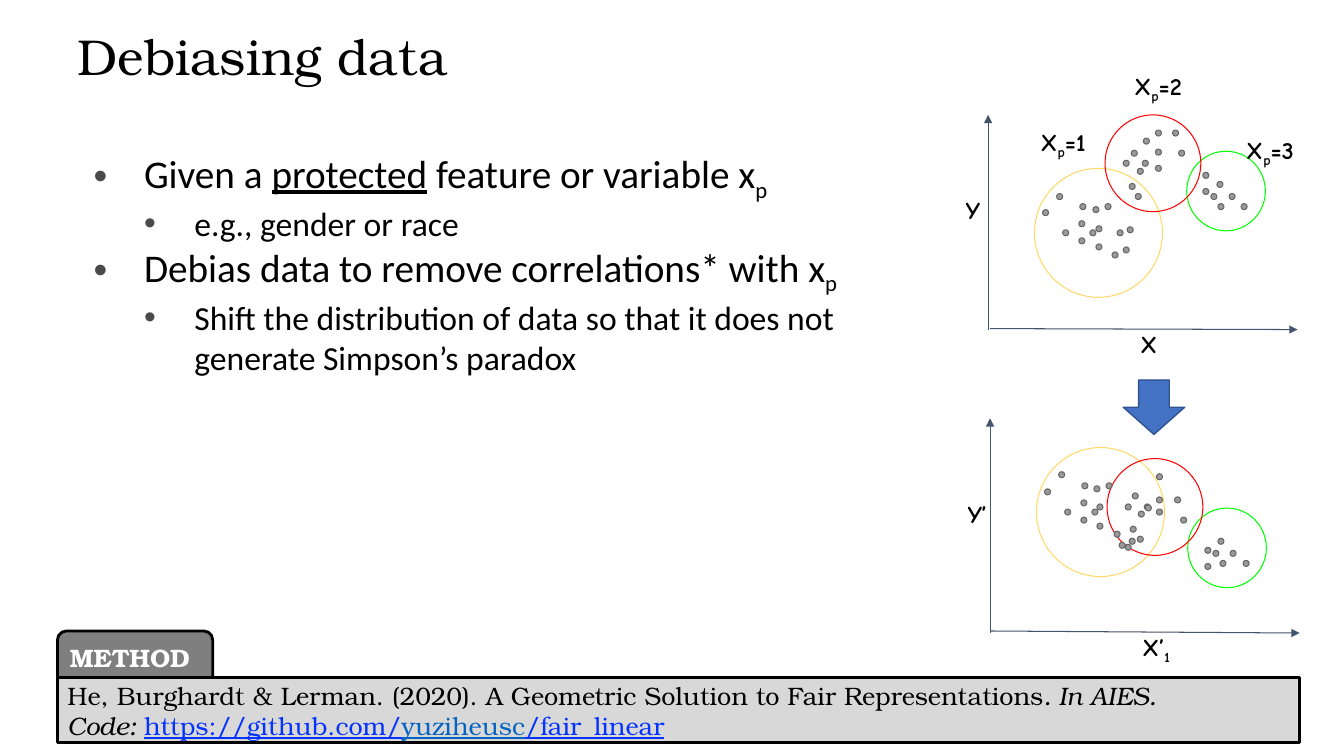
"""Build the slide on debiasing data with two scatter sketches."""
from lxml import etree
from pptx import Presentation
from pptx import util as u
from pptx.dml.color import RGBColor
from pptx.enum import shapes as s
from pptx.enum import text as t
from pptx.oxml import ns

PX = u.Inches(1) // 100

BLACK = RGBColor(0x00, 0x00, 0x00)
WHITE = RGBColor(0xFF, 0xFF, 0xFF)
BULLET_GRAY = RGBColor(0x4A, 0x4A, 0x4A)
TAB_GRAY = RGBColor(0x7F, 0x7F, 0x7F)
CITATION_GRAY = RGBColor(0xD8, 0xD8, 0xD8)
DOT_FILL = RGBColor(0x99, 0x99, 0x99)
DOT_EDGE = RGBColor(0x66, 0x66, 0x66)
AXIS = RGBColor(0x44, 0x54, 0x6A)
GREEN = RGBColor(0x00, 0xFF, 0x00)
YELLOW = RGBColor(0xFF, 0xD9, 0x66)
RED = RGBColor(0xFF, 0x00, 0x00)
ARROW_FILL = RGBColor(0x44, 0x72, 0xC4)
ARROW_EDGE = RGBColor(0x31, 0x53, 0x8F)
LINK_BLUE = RGBColor(0x04, 0x32, 0xFF)
USER_BLUE = RGBColor(0x05, 0x63, 0xC1)

TITLE = {"name": "TeX Gyre Bonum", "size": u.Pt(36), "bold": False}
TAB = {"name": "TeX Gyre Bonum", "size": u.Pt(18), "bold": True}
CITATION = {"name": "TeX Gyre Bonum", "size": u.Pt(18)}
LABEL = {"name": "Comic Neue", "size": u.Pt(17.3), "bold": True}
POINT = {"name": "Calibri", "size": u.Pt(28)}
SUBPOINT = {"name": "Calibri", "size": u.Pt(24)}

DOT = 6
CIRCLES = ((78, 79, GREEN), (127, 128, YELLOW), (95, 96, RED))

BEFORE = {
    "axes": ((980, 327, 980, 114), (982, 326, 1287, 327)),
    "circles": ((1177, 150), (1026, 167), (1096, 114)),
    "dots": (
        (1146, 129), (1122, 149), (1146, 164), (1133, 159), (1169, 149), (1120, 182),
        (1163, 129), (1128, 167), (1146, 148), (1114, 159), (1134, 137), (1126, 192),
        (1193, 171), (1208, 202), (1219, 192), (1231, 202), (1207, 180), (1193, 187),
        (1201, 192),
        (1048, 192), (1096, 202), (1054, 228), (1108, 228), (1081, 228), (1103, 250),
        (1070, 236), (1071, 202), (1034, 208), (1114, 245), (1087, 242), (1118, 225),
        (1087, 224), (1084, 205), (1070, 219)),
    "labels": (
        ((1118, 314, 49, 63), "X", "", ""), ((945, 181, 49, 63), "Y", "", ""),
        ((1019, 113, 79, 63), "X", "p", "=1"), ((1112, 58, 79, 63), "X", "p", "=2"),
        ((1223, 121, 79, 63), "X", "p", "=3")),
}
AFTER = {
    "axes": ((982, 628, 982, 415), (983, 626, 1289, 628)),
    "circles": ((1178, 504), (1028, 444), (1098, 455)),
    "dots": (
        (1147, 493), (1123, 489), (1147, 505), (1135, 500), (1171, 513), (1121, 522),
        (1165, 493), (1129, 507), (1147, 470), (1116, 500), (1136, 501), (1128, 532),
        (1195, 543), (1210, 556), (1220, 546), (1233, 556), (1208, 534), (1195, 559),
        (1203, 546),
        (1050, 468), (1097, 479), (1056, 505), (1110, 538), (1083, 505), (1105, 527),
        (1072, 513), (1073, 479), (1036, 485), (1116, 540), (1088, 519), (1120, 534),
        (1088, 500), (1085, 482), (1072, 496)),
    "labels": (
        ((1120, 614, 75, 63), "X’", "1", ""), ((947, 482, 49, 63), "Y’", "", "")),
}


def emu(lengths):
    """Turn px lengths into EMU."""
    return [u.Emu(length * PX) for length in lengths]


def write(paragraph, words, style, color=BLACK, subscript=False):
    """Append a run with the given format."""
    run = paragraph.add_run()
    run.text = words
    for attribute, value in style.items():
        setattr(run.font, attribute, value)
    run.font.color.rgb = color
    if subscript:
        run.font._element.set("baseline", "-25000")


def set_frame(frame, anchor, inset_x=10, inset_y=5):
    """Set wrapping, anchor and insets of a text frame."""
    layout = {
        "word_wrap": True, "vertical_anchor": anchor,
        "margin_left": inset_x * PX, "margin_right": inset_x * PX,
        "margin_top": inset_y * PX, "margin_bottom": inset_y * PX}
    for attribute, value in layout.items():
        setattr(frame, attribute, value)
    return frame


def add_shape(slide, preset, box, edge, weight, fill=None):
    """Add a flat preset shape."""
    shape = slide.shapes.add_shape(preset, *emu(box))
    shape.shadow.inherit = False
    if fill is None:
        shape.fill.background()
    else:
        shape.fill.solid()
        shape.fill.fore_color.rgb = fill
    shape.line.color.rgb = edge
    shape.line.width = u.Pt(weight)
    return shape


def add_axis(slide, ends):
    """Add an axis with an arrowhead at its end."""
    axis = slide.shapes.add_connector(s.MSO_CONNECTOR.STRAIGHT, *emu(ends))
    axis.line.color.rgb = AXIS
    axis.line.width = u.Pt(0.75)
    etree.SubElement(axis.line._get_or_add_ln(), ns.qn("a:tailEnd"), type="triangle")
    etree.SubElement(axis._element.spPr, ns.qn("a:effectLst"))


def add_label(slide, box, base, subscript, rest):
    """Add a variable name with an optional subscript."""
    label = slide.shapes.add_textbox(*emu(box))
    paragraph = set_frame(label.text_frame, t.MSO_ANCHOR.TOP, 13, 13).paragraphs[0]
    write(paragraph, base, LABEL)
    if subscript:
        write(paragraph, subscript, LABEL, subscript=True)
    if rest:
        write(paragraph, rest, LABEL)


def add_plot(slide, plot):
    """Draw one scatter sketch with its group circles."""
    for (left, top), (width, height, color) in zip(plot["circles"], CIRCLES):
        add_shape(slide, s.MSO_SHAPE.OVAL, (left, top, width, height), color, 0.75)
    for left, top in plot["dots"]:
        add_shape(slide, s.MSO_SHAPE.FLOWCHART_CONNECTOR, (left, top, DOT, DOT),
                  DOT_EDGE, 0.75, DOT_FILL)
    for ends in plot["axes"]:
        add_axis(slide, ends)
    for label in plot["labels"]:
        add_label(slide, *label)


def add_bullet(paragraph, level):
    """Give a paragraph its level, hanging indent and bullet."""
    paragraph.level = level
    properties = paragraph._p.get_or_add_pPr()
    properties.set("marL", str((67 + 50 * level) * PX))
    properties.set("indent", str(-50 * PX))
    color = etree.SubElement(properties, ns.qn("a:buClr"))
    etree.SubElement(color, ns.qn("a:srgbClr"), val=str(BULLET_GRAY))
    etree.SubElement(properties, ns.qn("a:buFont"), typeface="Arial")
    etree.SubElement(properties, ns.qn("a:buChar"), char="•")


def add_points(slide):
    """Write the bulleted argument."""
    plain, underlined = {**POINT, "underline": False}, {**POINT, "underline": True}
    points = (
        (0, (("Given a ", plain), ("protected", underlined),
             (" feature or variable x", plain), ("p", plain, BLACK, True))),
        (1, (("e.g., gender or race", SUBPOINT),)),
        (0, (("Debias data to remove correlations* with x", plain),
             ("p", plain, BLACK, True))),
        (1, (("Shift the distribution of data so that it does not generate "
              "Simpson’s paradox", SUBPOINT),)))
    body = slide.shapes.add_textbox(*emu((66, 143, 778, 512)))
    frame = set_frame(body.text_frame, t.MSO_ANCHOR.TOP)
    for index, (level, runs) in enumerate(points):
        paragraph = frame.add_paragraph() if index else frame.paragraphs[0]
        add_bullet(paragraph, level)
        for run in runs:
            write(paragraph, *run)


def add_citation(slide):
    """Add the method tab and the reference bar."""
    tab = add_shape(slide, s.MSO_SHAPE.ROUNDED_RECTANGLE, (57, 626, 154, 53),
                    BLACK, 2, TAB_GRAY)
    bar = add_shape(slide, s.MSO_SHAPE.RECTANGLE, (57, 672, 1232, 65),
                    BLACK, 2, CITATION_GRAY)
    italic, link = {**CITATION, "italic": True}, {**CITATION, "underline": True}
    method = ((("METHOD", TAB, WHITE),),)
    reference = (
        (("He, Burghardt & Lerman. (2020). A Geometric Solution to Fair "
          "Representations", CITATION), (". In AIES.", italic)),
        (("Code: ", italic), ("https://github.com/", link, LINK_BLUE),
         ("yuziheusc", link, USER_BLUE), ("/fair_linear", link, LINK_BLUE)))
    for holder, lines in ((tab, method), (bar, reference)):
        frame = set_frame(holder.text_frame, t.MSO_ANCHOR.MIDDLE)
        for index, runs in enumerate(lines):
            paragraph = frame.add_paragraph() if index else frame.paragraphs[0]
            paragraph.alignment = t.PP_ALIGN.LEFT
            for run in runs:
                write(paragraph, *run)


def add_title(slide):
    """Place and format the title."""
    title = slide.shapes.title
    title.left, title.top, title.width, title.height = emu((67, 24, 1122, 70))
    paragraph = set_frame(title.text_frame, t.MSO_ANCHOR.MIDDLE).paragraphs[0]
    paragraph.alignment = t.PP_ALIGN.LEFT
    paragraph.line_spacing = 0.9
    write(paragraph, "Debiasing data", TITLE)


def main():
    """Build and save the slide."""
    deck = Presentation()
    deck.slide_width, deck.slide_height = emu((1333, 750))
    slide = deck.slides.add_slide(deck.slide_layouts[5])
    add_title(slide)
    add_points(slide)
    add_plot(slide, BEFORE)
    add_citation(slide)
    add_plot(slide, AFTER)
    add_shape(slide, s.MSO_SHAPE.DOWN_ARROW, (1114, 377, 61, 54),
              ARROW_EDGE, 1, ARROW_FILL)
    deck.save("out.pptx")


if __name__ == "__main__":
    main()
